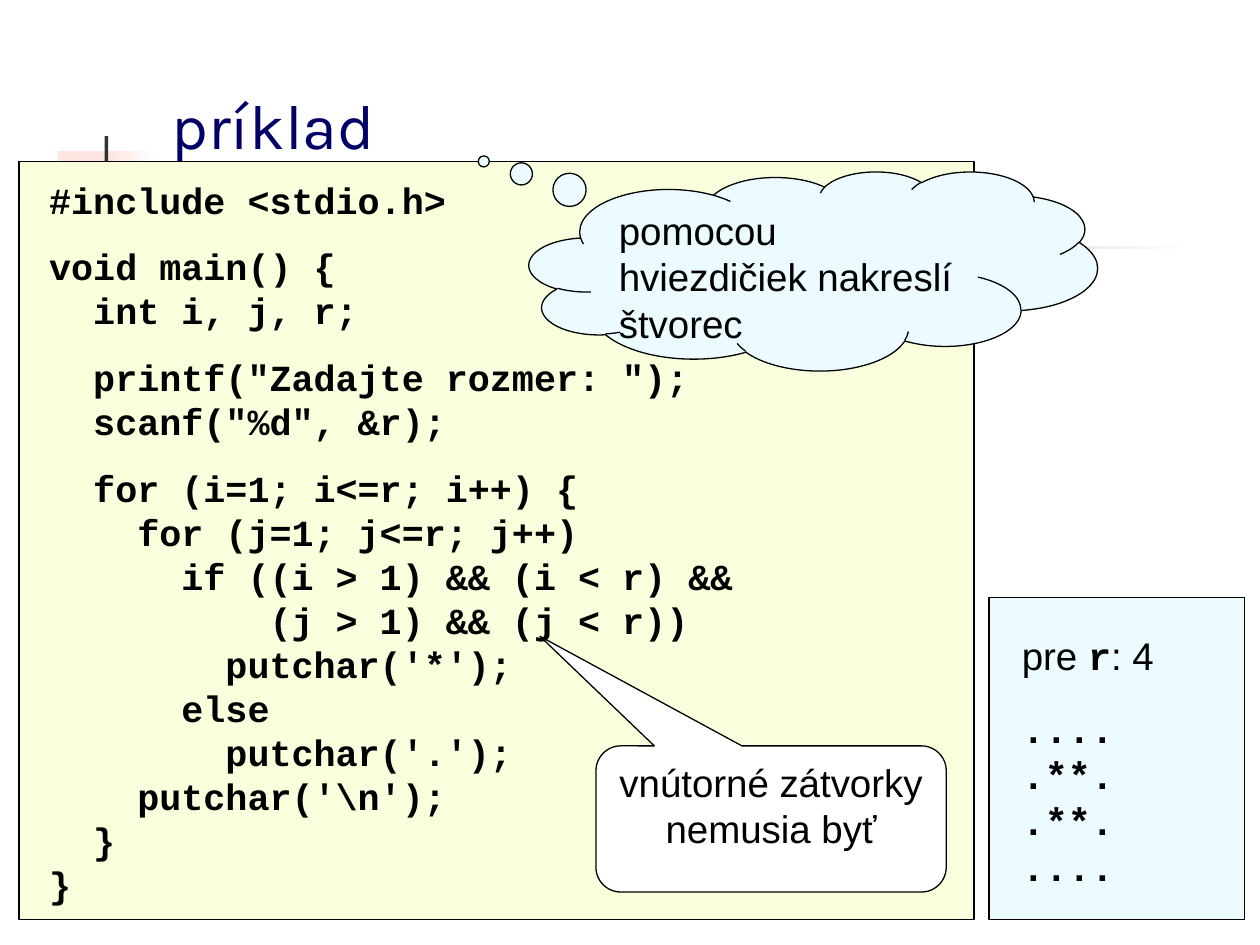
from dataclasses import dataclass

from pptx import Presentation
from pptx.dml.color import RGBColor
from pptx.enum.shapes import MSO_SHAPE as Preset
from pptx.enum.text import MSO_ANCHOR as Anchor, MSO_AUTO_SIZE as AutoSize, PP_ALIGN as Align
from pptx.util import Inches, Pt


@dataclass
class Theme:
    white: str = "FFFFFF"
    black: str = "000000"
    navy: str = "000066"
    charcoal: str = "333333"
    pink: str = "FFE5E1"
    cream: str = "F9FFDD"
    ice: str = "EBFBFF"
    title_font: str = "Karla"
    body_font: str = "Arial"
    code_font: str = "Courier New"
    title_size: int = 36
    body_size: int = 22
    code_size: int = 21
    body_leading: float = 26.3
    code_leading: float = 25.2


theme = Theme()
presentation = Presentation()
presentation.slide_width, presentation.slide_height = Inches(10), Inches(7.5)
slide = presentation.slides.add_slide(presentation.slide_layouts[6])


def add_box(preset, bounds, color, outlined=True, adjustments=()):
    shape = slide.shapes.add_shape(preset, *map(Inches, bounds))
    shape.shadow.inherit = False
    for index, value in enumerate(adjustments):
        shape.adjustments[index] = value
    if isinstance(color, tuple):
        start, end, angle = color
        shape.fill.gradient()
        shape.fill.gradient_angle = angle
        for stop, stop_color in zip(shape.fill.gradient_stops, (start, end)):
            stop.color.rgb = RGBColor.from_string(stop_color)
    else:
        shape.fill.solid()
        shape.fill.fore_color.rgb = RGBColor.from_string(color)
    if outlined:
        shape.line.color.rgb = RGBColor.from_string(theme.black)
        shape.line.width = Pt(0.75)
    else:
        shape.line.fill.background()
    return shape


def write(shape, paragraphs, font, size, color=theme.black, leading=None, gap=0,
          align=Align.LEFT, anchor=Anchor.TOP, wrap=True):
    frame = shape.text_frame
    frame.word_wrap = wrap
    frame.auto_size = AutoSize.NONE if wrap else AutoSize.SHAPE_TO_FIT_TEXT
    frame.vertical_anchor = anchor
    frame.margin_left = frame.margin_right = Inches(0.09)
    frame.margin_top = frame.margin_bottom = Inches(0.05)
    blocks = [block.split("\n") for block in paragraphs]
    lines = [(text, number and not row) for number, block in enumerate(blocks)
             for row, text in enumerate(block)]
    for index, (text, starts_block) in enumerate(lines):
        paragraph = frame.add_paragraph() if index else frame.paragraphs[0]
        paragraph.alignment = align
        if leading:
            paragraph.line_spacing = Pt(leading)
        if starts_block:
            paragraph.space_before = Pt(gap)
        for position, part in enumerate(text.split("|")):
            run = paragraph.add_run()
            run.text = part
            is_code = font == theme.code_font or position % 2 == 1
            run.font.name = theme.code_font if is_code else font
            run.font.bold = is_code
            run.font.size = Pt(size)
            run.font.color.rgb = RGBColor.from_string(color)


decorations = [
    ((0.46, 1.2, 0.48, 0.52), theme.pink),
    ((0.88, 1.2, 0.36, 0.52), (theme.white, theme.pink, 180)),
    ((0.14, 1.58, 0.61, 0.46), (theme.cream, theme.white, 225)),
    ((0.83, 1.08, 0.03, 1.15), theme.charcoal),
    ((0.48, 1.95, 9, 0.03), (theme.white, theme.charcoal, 180)),
]
for bounds, color in decorations:
    add_box(Preset.RECTANGLE, bounds, color, outlined=False)

title = slide.shapes.add_textbox(Inches(1.27), Inches(0.68), Inches(8.52), Inches(0.66))
write(title, ["príklad"], theme.title_font, theme.title_size, theme.navy, anchor=Anchor.BOTTOM)

code_blocks = [
    "#include <stdio.h>",
    """void main() {
  int i, j, r;""",
    """  printf("Zadajte rozmer: ");
  scanf("%d", &r);""",
    """  for (i=1; i<=r; i++) {
    for (j=1; j<=r; j++)
      if ((i > 1) && (i < r) &&
          (j > 1) && (j < r))
        putchar('*');
      else
        putchar('.');
    putchar('\\n');
  }
}""",
]
add_box(Preset.RECTANGLE, (0.15, 1.28, 7.58, 6.02), theme.cream)
code = slide.shapes.add_textbox(Inches(0.3), Inches(1.36), Inches(5.78), Inches(5.89))
write(code, code_blocks, theme.code_font, theme.code_size, leading=theme.code_leading,
      gap=12.8, wrap=False)

cloud = add_box(Preset.CLOUD_CALLOUT, (4.2, 1.36, 4.51, 1.58), theme.ice,
                adjustments=(-0.58, -0.55))
write(cloud, ["pomocou hviezdičiek nakreslí štvorec"], theme.body_font, theme.body_size,
      leading=theme.body_leading)

add_box(Preset.RECTANGLE, (7.85, 4.74, 2.03, 2.56), theme.ice)
output = slide.shapes.add_textbox(Inches(8.02), Inches(4.97), Inches(1.23), Inches(2.14))
output_rows = "\n".join(f"|{row}" for row in ("....", ".**.", ".**.", "...."))
write(output, ["pre |r|: 4", output_rows], theme.body_font, theme.body_size,
      leading=theme.body_leading, gap=15, wrap=False)

callout = add_box(Preset.ROUNDED_RECTANGULAR_CALLOUT, (4.73, 5.92, 2.78, 1.16), theme.white,
                  adjustments=(-0.66, -1.25, 0.17))
write(callout, ["vnútorné zátvorky nemusia byť"], theme.body_font, theme.body_size,
      leading=theme.body_leading, align=Align.CENTER)

presentation.save("out.pptx")
